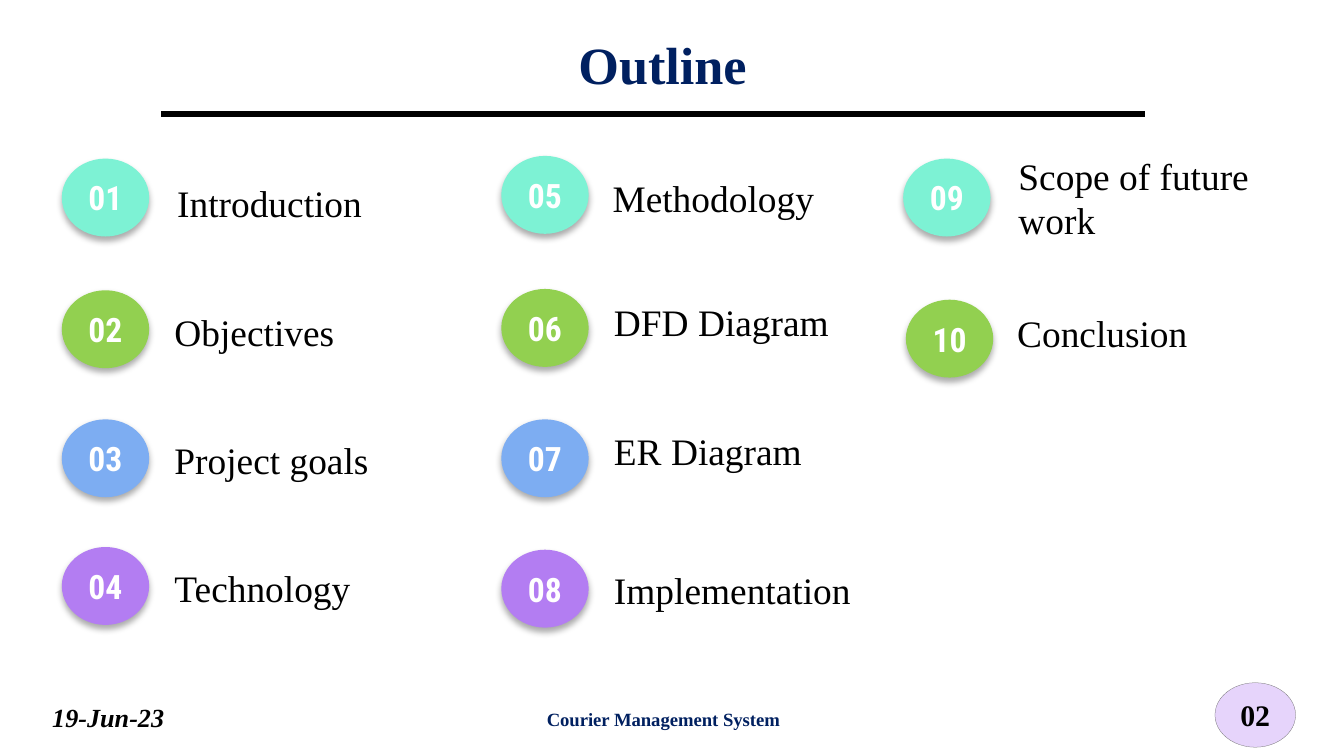
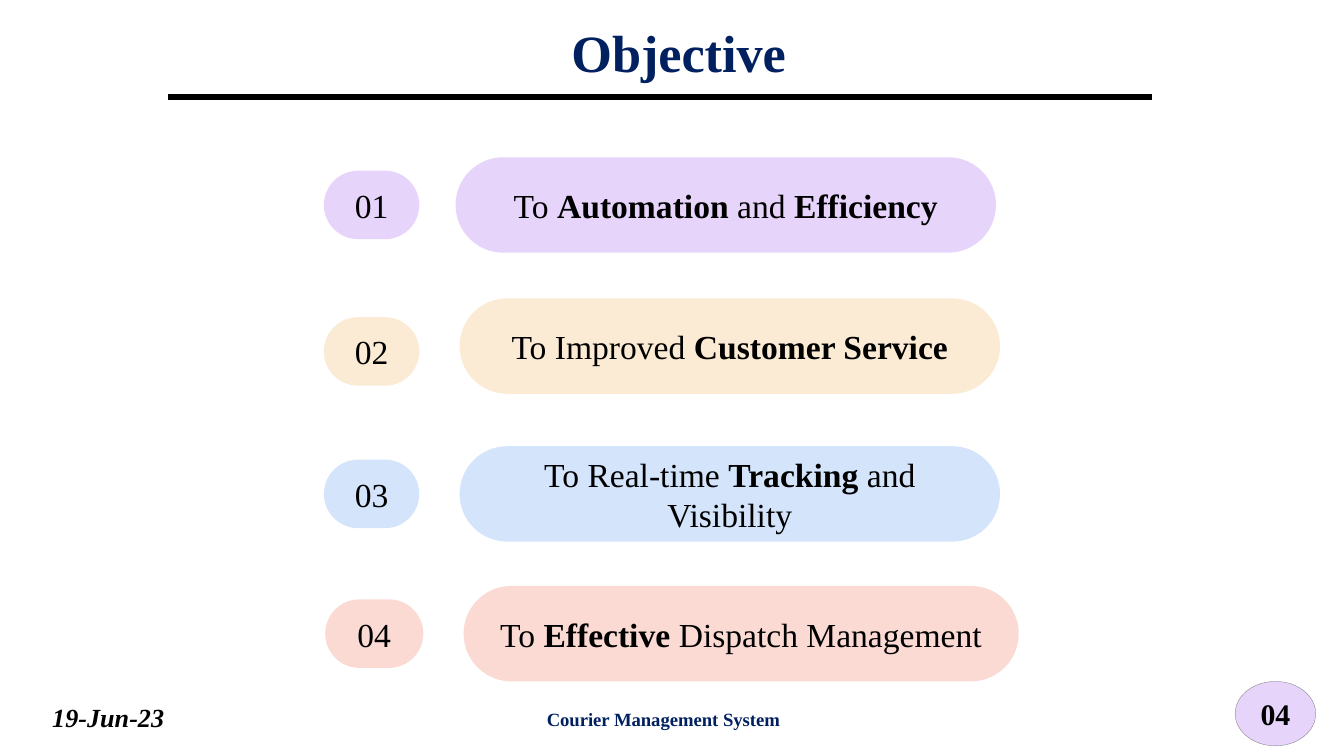
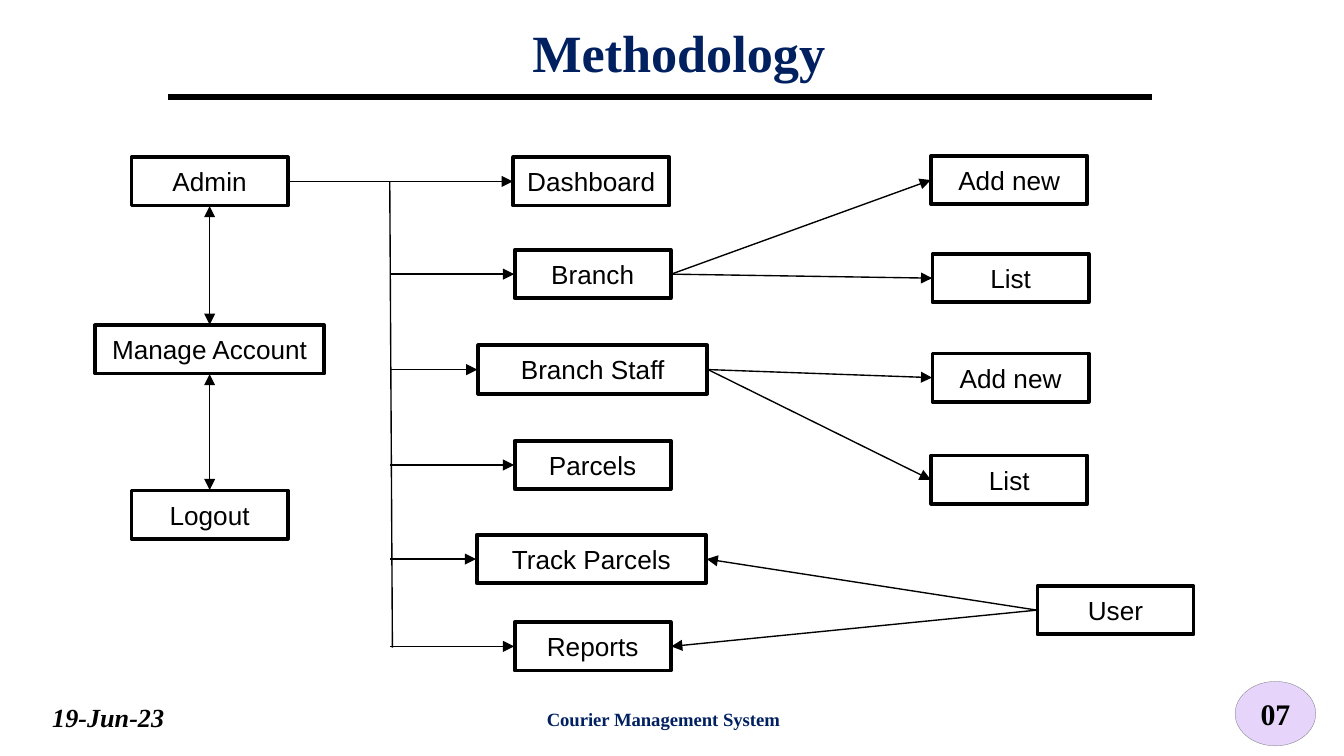
from dataclasses import dataclass

from lxml.etree import SubElement
from pptx import Presentation
from pptx.dml.color import RGBColor
from pptx.enum.shapes import MSO_CONNECTOR as Link, MSO_SHAPE as Shape
from pptx.enum.text import MSO_ANCHOR as Anchor, PP_ALIGN as Align
from pptx.oxml.ns import qn
from pptx.util import Inches, Pt


@dataclass(frozen=True)
class Theme:
    serif: str = "Times New Roman"
    badge_font: str = "Roboto Condensed"
    sans: str = "Arial"
    ink: str = "000000"
    paper: str = "FFFFFF"
    navy: str = "002060"
    lilac: str = "E6D4FB"
    cream: str = "FBEBD4"
    sky: str = "D4E4FB"
    blush: str = "FBDAD4"
    page_edge: str = "6C6C6C"
    badges: tuple = ("7DF2D4", "92D050", "7DADF2", "B37DF2")
    title_size: int = 28
    label_size: int = 20
    body_size: int = 18
    page_size: int = 16
    small_size: int = 14
    footer_size: int = 10


theme = Theme()


def put_text(shapes, box, text, size, kind=None, fill=None, edge=None, font=theme.serif,
             color=theme.ink, bold=False, italic=False, align=Align.CENTER,
             anchor=Anchor.MIDDLE, inset=0.1):
    place = [Inches(value) for value in box]
    if kind is None:
        item = shapes.add_textbox(*place)
    else:
        item = shapes.add_shape(kind, *place)
        item.shadow.inherit = False
        item.fill.solid()
        item.fill.fore_color.rgb = RGBColor.from_string(fill)
        if edge:
            item.line.color.rgb = RGBColor.from_string(edge[0])
            item.line.width = Pt(edge[1])
        else:
            item.line.fill.background()
    frame = item.text_frame
    frame.word_wrap = True
    frame.vertical_anchor = anchor
    frame.margin_left = frame.margin_right = Inches(0.1)
    frame.margin_top = frame.margin_bottom = Inches(inset)
    first, *rest = text.split("*")
    frame.text = first
    paragraph = frame.paragraphs[0]
    paragraph.alignment = align
    for piece in rest:
        paragraph.add_run().text = piece
    for position, run in enumerate(paragraph.runs):
        run.font.name = font
        run.font.size = Pt(size)
        run.font.bold = bold or position % 2 == 1
        run.font.italic = italic
        run.font.color.rgb = RGBColor.from_string(color)
    return item


def draw_line(shapes, start, end, width=0.75, heads=()):
    line = shapes.add_connector(Link.STRAIGHT, *[Inches(value) for value in (*start, *end)])
    line.line.color.rgb = RGBColor.from_string(theme.ink)
    line.line.width = Pt(width)
    outline_xml = line._element.spPr.find(qn("a:ln"))
    for head in heads:
        SubElement(outline_xml, qn(f"a:{head}"), type="triangle")
    SubElement(line._element.spPr, qn("a:effectLst"))


deck = Presentation()
deck.slide_width = Inches(10)
deck.slide_height = Inches(10) * 9 // 16

pages = []
for title, page, title_at, rule_at, page_at in [
    ("Outline", "02", (0.43, 0.27), (1.2, 0.85), (9.04, 5.08)),
    ("Objective", "04", (0.55, 0.18), (1.25, 0.72), (9.19, 5.07)),
    ("Methodology", "07", (0.55, 0.18), (1.25, 0.72), (9.19, 5.07)),
]:
    shapes = deck.slides.add_slide(deck.slide_layouts[6]).shapes
    put_text(shapes, (*title_at, 9, 0.41), title, theme.title_size, color=theme.navy, bold=True)
    draw_line(shapes, rule_at, (rule_at[0] + 7.32, rule_at[1]), 3)
    put_text(shapes, (0.29, 5.17, 1.28, 0.34), "19-Jun-23", theme.small_size, bold=True,
             italic=True, align=Align.LEFT, anchor=Anchor.TOP, inset=0.05)
    put_text(shapes, (3.97, 5.22, 1.97, 0.27), "Courier Management System", theme.footer_size,
             color=theme.navy, bold=True, align=Align.LEFT, anchor=Anchor.TOP, inset=0.05)
    put_text(shapes, (*page_at, 0.6, 0.48), page, theme.page_size, Shape.OVAL, theme.lilac,
             (theme.page_edge, 0.15), bold=True, inset=0.05)
    pages.append(shapes)

outline, objective, methodology = pages

topics = [
    ("Introduction", (0.46, 1.18), (1.22, 1.18), 0.66),
    ("Objectives", (0.46, 2.16), (1.2, 2.13), 0.67),
    ("Project goals", (0.46, 3.12), (1.2, 3.04), 0.76),
    ("Technology", (0.46, 4.07), (1.2, 3.99), 0.76),
    ("Methodology", (3.73, 1.16), (4.46, 1.14), 0.66),
    ("DFD Diagram", (3.73, 2.15), (4.47, 2.07), 0.65),
    ("ER Diagram", (3.73, 3.12), (4.47, 3.04), 0.62),
    ("Implementation", (3.73, 4.09), (4.47, 4.01), 0.76),
    ("Scope of future work", (6.72, 1.18), (7.48, 1.14), 0.66),
    ("Conclusion", (6.74, 2.23), (7.47, 2.15), 0.65),
]
for index, (topic, badge_at, topic_at, height) in enumerate(topics):
    entry = outline.add_group_shape().shapes
    badge = put_text(entry, (*badge_at, 0.65, 0.58), f"{index + 1:02}", theme.body_size,
                     Shape.OVAL, theme.badges[index % 4], font=theme.badge_font,
                     color=theme.paper, bold=True)
    effects = badge._element.spPr.find(qn("a:effectLst"))
    shadow = SubElement(effects, qn("a:outerShdw"), blurRad=str(Pt(3.5)), dist=str(Pt(2.2)),
                        dir="5400000", algn="t", rotWithShape="0")
    shade = SubElement(shadow, qn("a:srgbClr"), val=theme.ink)
    SubElement(shade, qn("a:alpha"), val="32000")
    put_text(entry, (*topic_at, 2.17, height), topic, theme.label_size, align=Align.LEFT)

goals = [
    ("To *Automation* and *Efficiency", theme.lilac, (3.39, 1.17, 4.02), (2.41, 1.27, 0.71)),
    ("To Improved *Customer Service", theme.cream, (3.42, 2.22, 4.02), (2.41, 2.36, 0.71)),
    ("To Real-time *Tracking* and Visibility", theme.sky, (3.42, 3.32, 4.02), (2.41, 3.42, 0.71)),
    ("To *Effective* Dispatch Management", theme.blush, (3.45, 4.36, 4.13), (2.42, 4.46, 0.73)),
]
for number, (goal, tint, goal_at, number_at) in enumerate(goals, 1):
    entry = objective.add_group_shape().shapes
    for text, box in [(goal, (*goal_at, 0.71)), (f"{number:02}", (*number_at, 0.51))]:
        pill = put_text(entry, box, text, theme.body_size, Shape.ROUNDED_RECTANGLE, tint)
        pill.adjustments[0] = 0.5

narrow, wide, step_height = 1.58, 2.32, 1.53
steps = {
    "admin": ("Admin", 1.56, 1.35, narrow),
    "account": ("Manage Account", 1.56, 2.6, wide),
    "logout": ("Logout", 1.56, 3.83, narrow),
    "dashboard": ("Dashboard", 4.4, 1.35, narrow),
    "branch": ("Branch", 4.41, 2.04, narrow),
    "staff": ("Branch Staff", 4.41, 2.75, wide),
    "parcels": ("Parcels", 4.41, 3.46, narrow),
    "track": ("Track Parcels", 4.4, 4.16, wide),
    "reports": ("Reports", 4.41, 4.81, narrow),
    "branch add": ("Add new", 7.51, 1.34, narrow),
    "branch list": ("List", 7.52, 2.07, narrow),
    "staff add": ("Add new", 7.52, 2.81, narrow),
    "staff list": ("List", 7.51, 3.57, narrow),
    "user": ("User", 8.3, 4.54, narrow),
}
left, right, top, bottom = {}, {}, {}, {}
for key, (label, x, y, width) in steps.items():
    put_text(methodology, (x - width / 2, y - step_height / 2, width, step_height), label,
             theme.small_size, Shape.MATH_MINUS, theme.paper, (theme.ink, 2),
             font=theme.sans, inset=0.05)
    half_width, half_height = width * 0.37, step_height * 0.12
    left[key], right[key] = (x - half_width, y), (x + half_width, y)
    top[key], bottom[key] = (x, y - half_height), (x, y + half_height)

trunk = 2.9
draw_line(methodology, (trunk, 1.35), (2.92, 4.82))
for upper, lower in [("admin", "account"), ("account", "logout")]:
    draw_line(methodology, bottom[upper], top[lower], heads=("headEnd", "tailEnd"))

arrows = [(right["admin"], left["dashboard"])]
for key in ("branch", "staff", "parcels", "track", "reports"):
    arrows.append(((trunk, left[key][1]), left[key]))
for key in ("branch", "staff"):
    for action in ("add", "list"):
        arrows.append((right[key], left[f"{key} {action}"]))
for key in ("track", "reports"):
    arrows.append((left["user"], right[key]))
for start, end in arrows:
    draw_line(methodology, start, end, heads=("tailEnd",))

deck.save("out.pptx")
